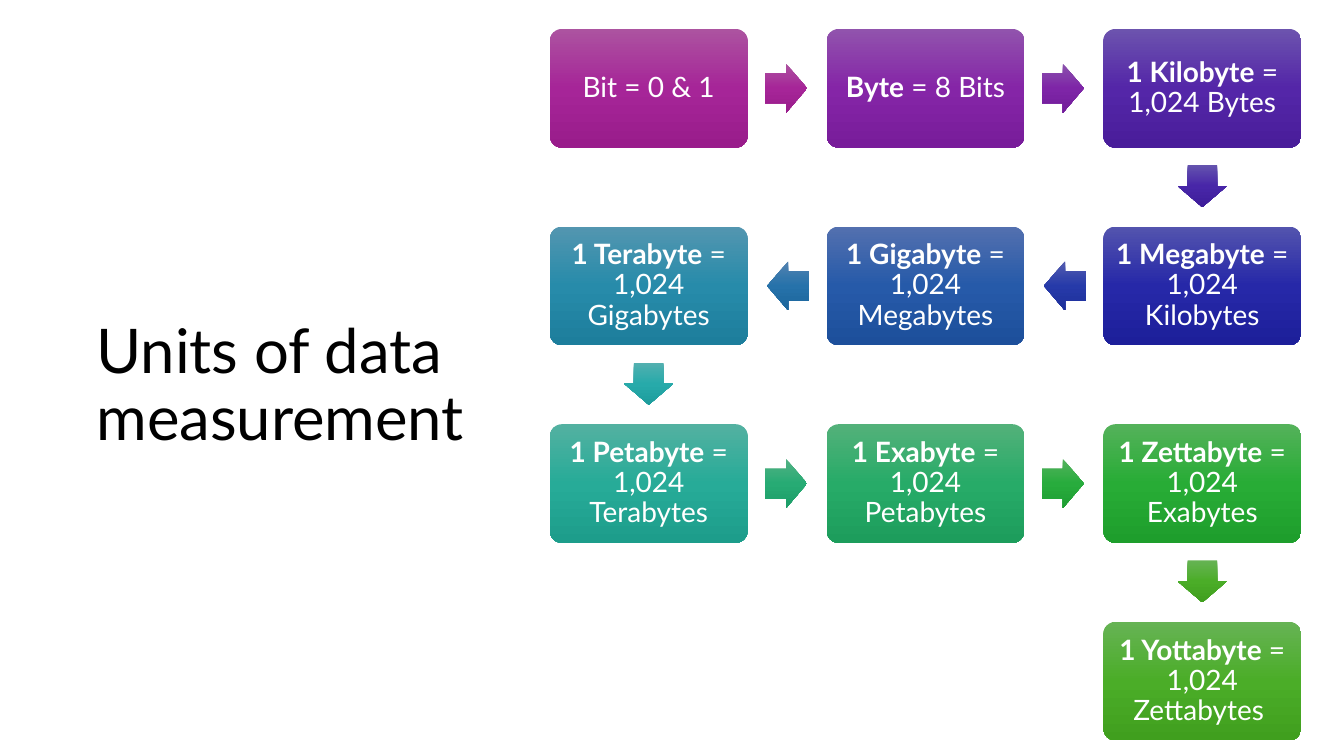
import copy

import pptx
import pptx.dml.color
import pptx.enum.shapes
import pptx.enum.text
import pptx.util

Cm = pptx.util.Cm
SHAPE = pptx.enum.shapes.MSO_SHAPE
ALIGN = pptx.enum.text.PP_ALIGN

COLORS = {
    "title": "000000",
    "label": "FFFFFF",
    "Bit": ("AC53A0", "A62598", "991C8B"),
    "Byte": ("9153AD", "8525A7", "781C9A"),
    "1 Kilobyte": ("6C53AE", "5426A8", "491D9A"),
    "1 Megabyte": ("5354AE", "2628A8", "1D1F9A"),
    "1 Gigabyte": ("5370AF", "265AA9", "1D4F9B"),
    "1 Terabyte": ("5396B0", "278BAA", "1D7E9C"),
    "1 Petabyte": ("53B1A1", "27AB98", "1D9D8B"),
    "1 Exabyte": ("53B17A", "27AB68", "1D9D5C"),
    "1 Zettabyte": ("54B25A", "28AC36", "1E9E2C"),
    "1 Yottabyte": ("66B354", "4BAD28", "409F1E"),
    "from Bit": ("AC53A0", "A62598", "991C8B"),
    "from Byte": ("8B53AD", "7E25A7", "721C9A"),
    "from 1 Kilobyte": ("6453AE", "4826A8", "3E1D9A"),
    "from 1 Megabyte": ("535CAF", "263AA9", "1D309B"),
    "from 1 Gigabyte": ("5382B0", "2672AA", "1C669C"),
    "from 1 Terabyte": ("53B0B0", "27AAAA", "1D9C9C"),
    "from 1 Petabyte": ("53B184", "27AB74", "1D9D68"),
    "from 1 Exabyte": ("54B25E", "28AC3D", "1E9E32"),
    "from 1 Zettabyte": ("66B354", "4BAD28", "409F1E"),
}

UNITS = [
    ("Bit", " = 0 & 1"),
    ("Byte", " = 8 Bits"),
    ("1 Kilobyte", " = 1,024 Bytes"),
    ("1 Megabyte", " = 1,024 Kilobytes"),
    ("1 Gigabyte", " = 1,024 Megabytes"),
    ("1 Terabyte", " = 1,024 Gigabytes"),
    ("1 Petabyte", " = 1,024 Terabytes"),
    ("1 Exabyte", " = 1,024 Petabytes"),
    ("1 Zettabyte", " = 1,024 Exabytes"),
    ("1 Yottabyte", " = 1,024 Zettabytes "),
]

COLUMNS = 3
UNIT_W, UNIT_H = 4.98, 2.99
ARROW_LENGTH, ARROW_WIDTH, ARROW_GAP = 1.06, 1.24, 0.44


def add_run(p, text, size=20, color="label", bold=False):
    """Append formatted text to a paragraph."""
    r = p.add_run()
    r.text = text
    r.font.name = "Lato"
    r.font.size = pptx.util.Pt(size)
    r.font.bold = bold
    r.font.color.rgb = pptx.dml.color.RGBColor.from_string(COLORS[color])


def prepare_text(sp, align, inset_x, inset_y):
    """Set wrapping, anchor and insets, and return the first paragraph."""
    tf = sp.text_frame
    tf.word_wrap = True
    tf.vertical_anchor = pptx.enum.text.MSO_ANCHOR.MIDDLE
    tf.margin_left = tf.margin_right = Cm(inset_x)
    tf.margin_top = tf.margin_bottom = Cm(inset_y)
    p = tf.paragraphs[0]
    p.alignment = align
    p.line_spacing = 0.9
    return p


def add_gradient_shape(slide, kind, x, y, w, h, colors, adjustments):
    """Add a preset shape with a three-stop vertical gradient."""
    sp = slide.shapes.add_shape(kind, Cm(x), Cm(y), Cm(w), Cm(h))
    for i, value in enumerate(adjustments):
        sp.adjustments[i] = value
    sp.shadow.inherit = False
    sp.line.fill.background()
    sp.fill.gradient()
    sp.fill.gradient_angle = 270
    stops = sp._element.spPr.find(".//" + pptx.oxml.ns.qn("a:gsLst"))
    stops.append(copy.deepcopy(stops[0]))
    for stop, position, color in zip(sp.fill.gradient_stops, (0, 0.5, 1), colors):
        stop.position = position
        stop.color.rgb = pptx.dml.color.RGBColor.from_string(color)
    return sp


def add_title(slide, x, y, w, h):
    """Place the slide title in the given box."""
    sp = slide.shapes.add_textbox(Cm(x), Cm(y), Cm(w), Cm(h))
    p = prepare_text(sp, ALIGN.LEFT, 0.25, 0.13)
    add_run(p, "Units of data measurement", size=44, color="title")


def add_unit(slide, x, y, name, value):
    """Place one unit block at the given corner."""
    sp = add_gradient_shape(slide, SHAPE.ROUNDED_RECTANGLE, x, y, UNIT_W, UNIT_H,
                            COLORS[name], [0.1])
    p = prepare_text(sp, ALIGN.CENTER, 0.21, 0.21)
    add_run(p, name, bold=name != "Bit")
    add_run(p, value)


def add_arrow(slide, x, y, step, colors):
    """Place the arrow leaving the unit at x, y in the direction of step."""
    if step == 0:
        kind, w, h = SHAPE.DOWN_ARROW, ARROW_WIDTH, ARROW_LENGTH
        left, top = x + (UNIT_W - w) / 2, y + UNIT_H + ARROW_GAP
    else:
        kind = SHAPE.RIGHT_ARROW if step > 0 else SHAPE.LEFT_ARROW
        w, h = ARROW_LENGTH, ARROW_WIDTH
        left = x + UNIT_W + ARROW_GAP if step > 0 else x - ARROW_GAP - w
        top = y + (UNIT_H - h) / 2
    add_gradient_shape(slide, kind, left, top, w, h, colors, [0.6, 0.5])


def snake_cell(i):
    """Return column and row of step i on a path that turns at each row end."""
    row, col = divmod(i, COLUMNS)
    return (COLUMNS - 1 - col if row % 2 else col), row


def add_flow(slide, x, y, w, h):
    """Lay the units and their arrows out as a snake within the given box."""
    rows = -(-len(UNITS) // COLUMNS)
    pitch_x = (w - UNIT_W) / (COLUMNS - 1)
    pitch_y = (h - UNIT_H) / (rows - 1)
    for i, (name, value) in enumerate(UNITS):
        col, row = snake_cell(i)
        left, top = x + col * pitch_x, y + row * pitch_y
        add_unit(slide, left, top, name, value)
        if i + 1 < len(UNITS):
            step = snake_cell(i + 1)[0] - col
            add_arrow(slide, left, top, step, COLORS["from " + name])


def main():
    """Build and save the slide."""
    prs = pptx.Presentation()
    prs.slide_width, prs.slide_height = Cm(33.87), Cm(19.05)
    slide = prs.slides.add_slide(prs.slide_layouts[6])
    add_title(slide, 2.18, 2.34, 10.85, 14.83)
    add_flow(slide, 13.86, 0.73, 18.93, 17.93)
    prs.save("out.pptx")


if __name__ == "__main__":
    main()
